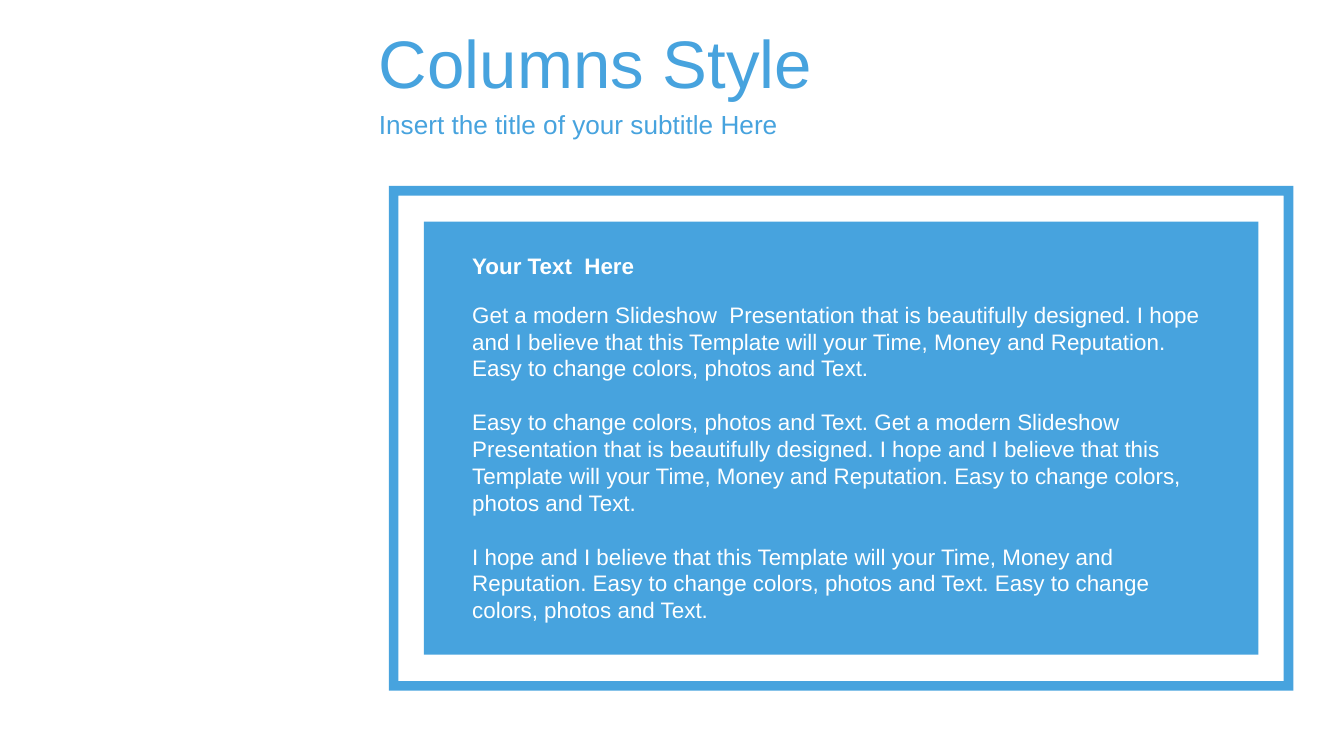
from pptx import Presentation
from pptx.dml.color import RGBColor
from pptx.enum.shapes import MSO_SHAPE
from pptx.enum.text import MSO_ANCHOR, MSO_AUTO_SIZE, PP_ALIGN
from pptx.util import Pt

BLUE = "47A3DE"
WHITE = "FFFFFF"
FONT = "Arial"
HEADING = "Your Text  Here"
PARAGRAPHS = [
    "Get a modern Slideshow  Presentation that is beautifully designed. I hope and I believe "
    "that this Template will your Time, Money and Reputation. Easy to change colors, photos and Text.",
    "Easy to change colors, photos and Text. Get a modern Slideshow  Presentation that is "
    "beautifully designed. I hope and I believe that this Template will your Time, Money and "
    "Reputation. Easy to change colors, photos and Text.",
    "I hope and I believe that this Template will your Time, Money and Reputation. Easy to "
    "change colors, photos and Text. Easy to change colors, photos and Text.",
]


def color(value):
    return RGBColor.from_string(value)


def place(shape, left, top, width, height):
    shape.left, shape.top = Pt(left), Pt(top)
    shape.width, shape.height = Pt(width), Pt(height)


def write(text_frame, paragraphs, size, text_color, bold=False, gap=0):
    """Fill a frame with left-aligned paragraphs, gap points apart."""
    text_frame.word_wrap = True
    text_frame.auto_size = MSO_AUTO_SIZE.NONE
    text_frame.text = "\n".join(paragraphs)
    for index, paragraph in enumerate(text_frame.paragraphs):
        paragraph.alignment = PP_ALIGN.LEFT
        paragraph.space_before = Pt(gap if index else 0)
        for run in paragraph.runs:
            run.font.name = FONT
            run.font.size = Pt(size)
            run.font.bold = bold
            run.font.color.rgb = color(text_color)


def add_header(slide, left, top, width):
    title, subtitle = slide.shapes.title, slide.placeholders[1]
    place(title, left, top, width, 45.4)
    place(subtitle, left, top + 45.4, width, 22.3)
    for shape, text, size in (
        (title, "Columns Style", 36),
        (subtitle, "Insert the title of your subtitle Here", 14),
    ):
        write(shape.text_frame, [text], size, BLUE)
        shape.text_frame.vertical_anchor = MSO_ANCHOR.MIDDLE


def add_block(slide, kind, left, top, width, height):
    block = slide.shapes.add_shape(kind, Pt(left), Pt(top), Pt(width), Pt(height))
    block.shadow.inherit = False
    block.fill.solid()
    block.fill.fore_color.rgb = color(BLUE)
    block.line.fill.background()
    return block


def add_text_panel(slide, left, top, width, height):
    """Draw a framed panel with a heading above its paragraphs."""
    frame = add_block(slide, MSO_SHAPE.FRAME, left, top, width, height)
    frame.adjustments[0] = 0.019
    inset = 18.8
    add_block(slide, MSO_SHAPE.RECTANGLE, left + inset, top + inset + 0.4,
              width - 2 * inset, height - 2 * inset - 0.8)

    text_left, text_width = left + 37.6, 415.4
    body = slide.shapes.add_textbox(Pt(text_left), Pt(top + 58), Pt(text_width), Pt(181.4))
    write(body.text_frame, PARAGRAPHS, 12, WHITE, gap=14.4)
    heading = slide.shapes.add_textbox(Pt(text_left), Pt(top + 32.2), Pt(text_width), Pt(21.6))
    write(heading.text_frame, [HEADING], 12, WHITE, bold=True)


def main():
    presentation = Presentation()
    presentation.slide_width, presentation.slide_height = Pt(720), Pt(405)
    slide = presentation.slides.add_slide(presentation.slide_layouts[0])
    add_header(slide, 195.8, 10.1, 524.2)
    add_text_panel(slide, 208.3, 99.6, 484.6, 270.4)
    presentation.save("out.pptx")


if __name__ == "__main__":
    main()
